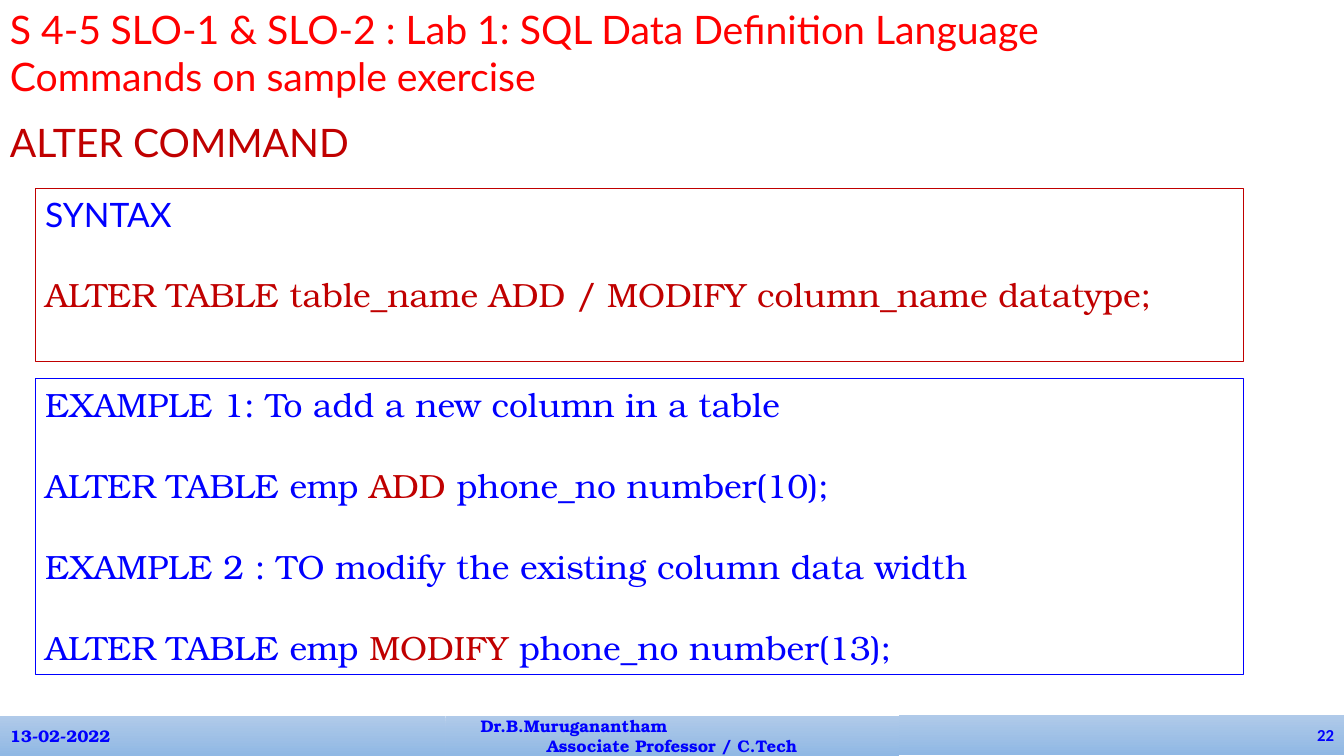
from pptx import Presentation
from pptx.dml.color import RGBColor
from pptx.enum.shapes import MSO_SHAPE
from pptx.enum.text import MSO_ANCHOR, PP_ALIGN
from pptx.util import Inches, Pt

RECTANGLE = MSO_SHAPE.RECTANGLE
TOP, MIDDLE = MSO_ANCHOR.TOP, MSO_ANCHOR.MIDDLE
LEFT, CENTER, RIGHT = PP_ALIGN.LEFT, PP_ALIGN.CENTER, PP_ALIGN.RIGHT

CELL = 0.1  # inches per grid column and row
SANS, SERIF, NUMBER = "Lato", "TeX Gyre Bonum", "Calibri"
RED, DARK_RED, BLUE = "FF0000", "C00000", "0000FF"
BAR_TOP, BAR_BOTTOM = "B0CAE9", "90B8E4"
BLANK_LINE = 29


def color(hex_string):
    return RGBColor.from_string(hex_string)


def grid(cells):
    return Inches(cells * CELL)


class SlideBuilder:
    """Holds the text style and the current slide; lengths are grid cells."""

    def __init__(self, presentation, columns, rows):
        presentation.slide_width = grid(columns)
        presentation.slide_height = grid(rows)
        self.slide = presentation.slides.add_slide(presentation.slide_layouts[6])

    def add_lines(self, shape, lines, size, anchor=TOP, align=LEFT, gap=0, spacing=None):
        """Fill a shape; each line is a list of (text, font, color) runs."""
        frame = shape.text_frame
        frame.word_wrap = True
        frame.vertical_anchor = anchor
        for index, runs in enumerate(lines):
            paragraph = frame.paragraphs[0] if index == 0 else frame.add_paragraph()
            paragraph.alignment = align
            if index and gap:
                paragraph.space_before = Pt(gap)
            if spacing:
                paragraph.line_spacing = spacing
            for text, font, hex_string in runs:
                run = paragraph.add_run()
                run.text = text
                run.font.name = font
                run.font.size = Pt(size)
                run.font.color.rgb = color(hex_string)
        return frame.paragraphs

    def heading(self, place, text, hex_string, spacing=None):
        shape = self.slide.shapes.add_textbox(*map(grid, place))
        self.add_lines(shape, [[(text, SANS, hex_string)]], 28, spacing=spacing)

    def rectangle(self, place):
        shape = self.slide.shapes.add_shape(RECTANGLE, *map(grid, place))
        shape.shadow.inherit = False
        return shape

    def outlined_box(self, place, border, lines):
        shape = self.rectangle(place)
        shape.fill.background()
        shape.line.color.rgb = color(border)
        shape.line.width = Pt(0.75)
        self.add_lines(shape, lines, 24, gap=BLANK_LINE)

    def footer_bar(self, place, texts, align, font=SERIF):
        shape = self.rectangle(place)
        shape.line.fill.background()
        shape.fill.gradient()
        shape.fill.gradient_angle = 270
        for stop, hex_string in zip(shape.fill.gradient_stops, (BAR_TOP, BAR_BOTTOM)):
            stop.color.rgb = color(hex_string)
        lines = [[(text, font, BLUE)] for text in texts]
        paragraphs = self.add_lines(shape, lines, 12, MIDDLE, align)
        for paragraph in paragraphs:
            for run in paragraph.runs:
                run.font.bold = True
        return paragraphs


def alter_statement(keyword, column):
    return [("ALTER TABLE emp ", SERIF, BLUE), (keyword, SERIF, DARK_RED),
            (f" {column};", SERIF, BLUE)]


def main():
    presentation = Presentation()
    builder = SlideBuilder(presentation, 133.33, 75)

    builder.heading((0, 12.1, 115, 4.9), "ALTER COMMAND", DARK_RED, spacing=0.8)
    builder.footer_bar((0, 71, 44.2, 4), ["13-02-2022"], LEFT)
    author = builder.footer_bar(
        (44.2, 71, 45, 4), ["Dr.B.Muruganantham", "Associate Professor / C.Tech"], CENTER)
    author[0].alignment = LEFT
    author[0]._p.get_or_add_pPr().set("marL", str(grid(2.5)))
    builder.footer_bar((89.2, 70.9, 44.13, 4), ["22"], RIGHT, NUMBER)
    builder.heading(
        (0, 0, 120, 10.4),
        "S 4-5\tSLO-1 & SLO-2 : Lab 1: SQL Data Definition Language "
        "Commands on sample exercise", RED)

    builder.outlined_box((3.5, 18.7, 119.9, 17.2), DARK_RED, [
        [("SYNTAX", SANS, BLUE)],
        [("ALTER TABLE table_name ADD / MODIFY column_name datatype;", SERIF, DARK_RED)],
    ])
    builder.outlined_box((3.5, 37.6, 119.9, 29.3), BLUE, [
        [("EXAMPLE 1: To add a new column in a table", SERIF, BLUE)],
        alter_statement("ADD", "phone_no number(10)"),
        [("EXAMPLE 2 : TO modify the existing column data width", SERIF, BLUE)],
        alter_statement("MODIFY", "phone_no number(13)"),
    ])

    presentation.save("out.pptx")


if __name__ == "__main__":
    main()
